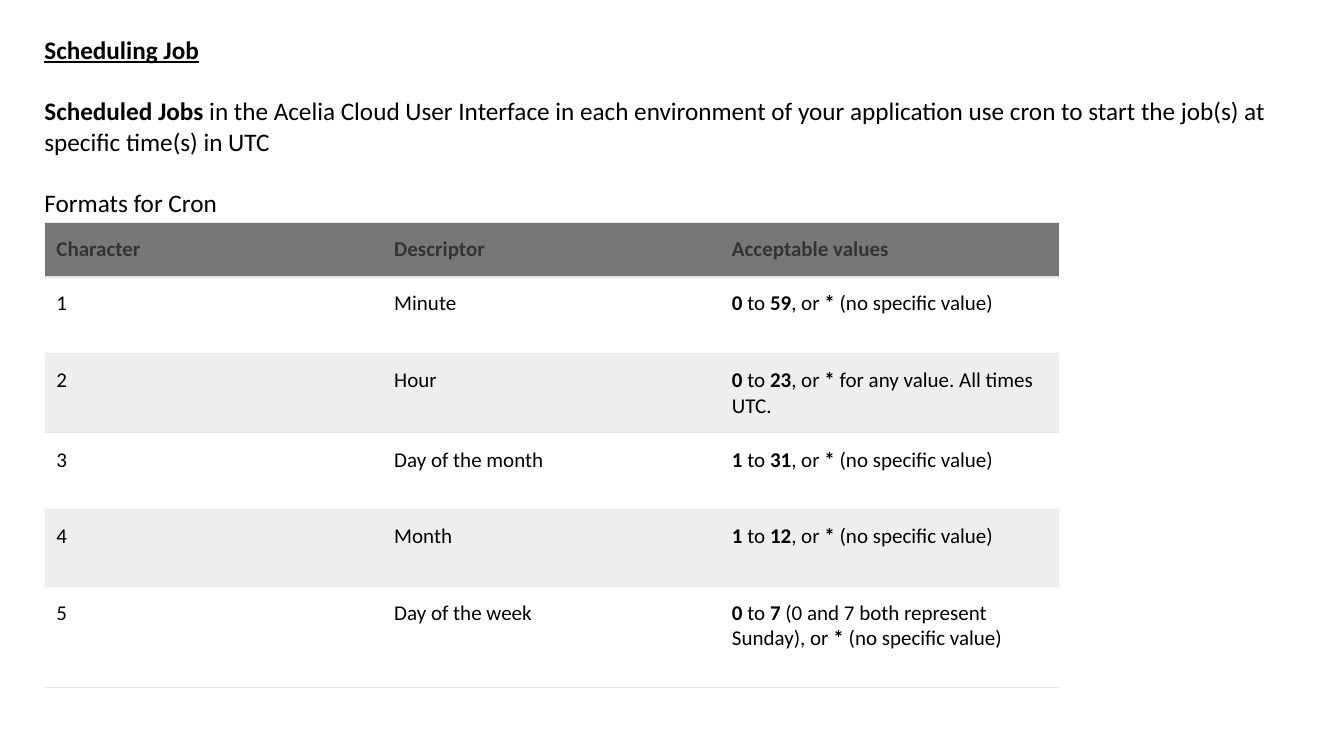
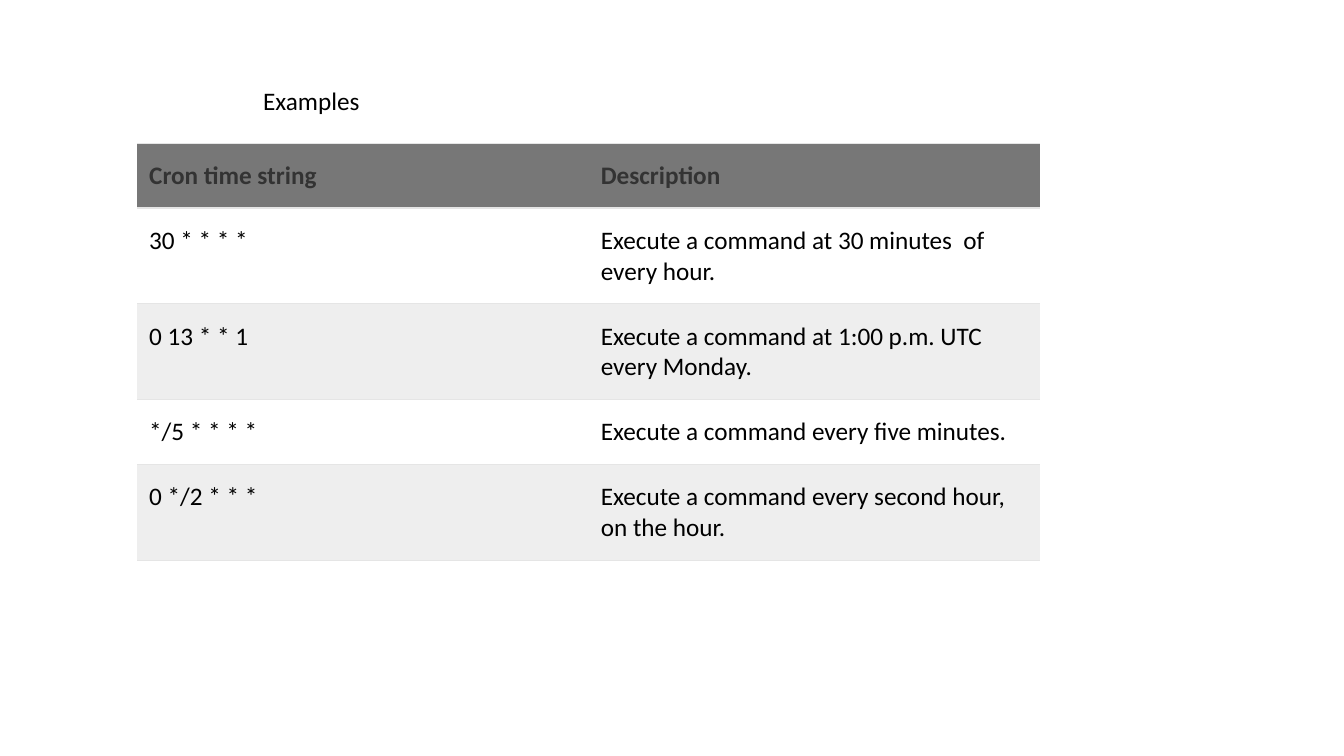
"""Build two slides that explain cron formats for scheduled jobs."""
from lxml import etree
from pptx import Presentation
from pptx.dml.color import RGBColor
from pptx.enum.text import MSO_ANCHOR, MSO_AUTO_SIZE, PP_ALIGN
from pptx.oxml.ns import qn
from pptx.util import Inches, Pt

TOP, BOTTOM = MSO_ANCHOR.TOP, MSO_ANCHOR.BOTTOM
LEFT = PP_ALIGN.LEFT
FIXED = MSO_AUTO_SIZE.NONE
TITLE_AND_BODY, TITLE_ONLY = 1, 5

BLACK, HEADER_TEXT, HEADER_FILL = "000000", "333333", "777777"
BAND_FILLS = ["EEEEEE", "FFFFFF"]
RULE = "E5E5E5"
THIN, THICK = 0.75, 1.5


def color(value):
    """Turn a hex string into a colour."""
    return RGBColor.from_string(value)


def write(para, text, size, ink=BLACK, **extra):
    """Fill a paragraph; parts between bars are bold."""
    para.alignment = LEFT
    for index, part in enumerate(text.split("|")):
        if not part:
            continue
        span = para.add_run()
        span.text = part
        style = {"name": "Calibri", "size": Pt(size), "bold": index % 2 == 1, **extra}
        for name, value in style.items():
            setattr(span.font, name, value)
        span.font.color.rgb = color(ink)


pages = [
    {
        "layout": TITLE_AND_BODY,
        "title": "|Scheduling Job|",
        "title_at": (0.34, 0.29, 12.62, 0.4),
        "title_style": {"underline": True},
        "body": [
            "|Scheduled Jobs| in the Acelia Cloud User Interface in each environment of your "
            "application use cron to start the job(s) at specific time(s) in UTC",
            "Formats for Cron",
        ],
        "table_at": (0.45, 2.21, 10.05, 4.62),
        "row_heights": [0.52, 0.76, 0.76, 0.76, 0.76, 1.01],
        "size": 15,
        "margins": (0.11, 0.14),
        "rows": [
            ["|Character|", "|Descriptor|", "|Acceptable values|"],
            ["1", "Minute", "|0| to |59|, or |*| (no specific value)"],
            ["2", "Hour", "|0| to |23|, or |*| for any value. All times UTC."],
            ["3", "Day of the month", "|1| to |31|, or |*| (no specific value)"],
            ["4", "Month", "|1| to |12|, or |*| (no specific value)"],
            ["5", "Day of the week",
             "|0| to |7| (0 and 7 both represent Sunday), or |*| (no specific value)"],
        ],
    },
    {
        "layout": TITLE_ONLY,
        "title": "Examples",
        "title_at": (2.51, 0.8, 5, 0.4),
        "title_style": {},
        "body": [],
        "table_at": (1.36, 1.42, 8.96, 4.07),
        "row_heights": [0.64, 0.93, 0.93, 0.64, 0.93],
        "size": 18,
        "margins": (0.12, 0.17),
        "rows": [
            ["|Cron time string|", "|Description|"],
            ["30 * * * *", "Execute a command at 30 minutes  of every hour."],
            ["0 13 * * 1", "Execute a command at 1:00 p.m. UTC every Monday."],
            ["*/5 * * * *", "Execute a command every five minutes."],
            ["0 */2 * * *", "Execute a command every second hour, on the hour."],
        ],
    },
]

deck = Presentation()
deck.slide_width, deck.slide_height = Inches(13.33), Inches(7.5)

for content in pages:
    page = deck.slides.add_slide(deck.slide_layouts[content["layout"]])

    texts = [(page.shapes.title, content["title_at"], [content["title"]], content["title_style"])]
    if content["body"]:
        texts.append((page.placeholders[1], (0.34, 0.9, 12.62, 1.32), content["body"], {}))
    for box, place, lines, style in texts:
        box.left, box.top, box.width, box.height = map(Inches, place)
        frame = box.text_frame
        frame.auto_size, frame.vertical_anchor, frame.word_wrap = FIXED, TOP, True
        for index, line in enumerate(lines):
            para = frame.add_paragraph() if index else frame.paragraphs[0]
            para.space_before = Pt(22 if index else 0)
            write(para, line, 18, **style)
            properties = para._p.get_or_add_pPr()
            properties.set("marL", "0")
            properties.set("indent", "0")
            etree.SubElement(properties, qn("a:buNone"))

    rows = content["rows"]
    table = page.shapes.add_table(
        len(rows), len(rows[0]), *map(Inches, content["table_at"])).table
    table.first_row = table.horz_banding = False
    side, end = map(Inches, content["margins"])
    for row, height in zip(table.rows, content["row_heights"]):
        row.height = Inches(height)

    for row_index, row in enumerate(rows):
        header = row_index == 0
        borders = {
            "lnL": 0,
            "lnR": 0,
            "lnT": THICK if row_index == 1 else THIN,
            "lnB": THICK if header else THIN,
        }
        for column_index, text in enumerate(row):
            cell = table.cell(row_index, column_index)
            cell_format = {
                "margin_left": side, "margin_right": side,
                "margin_top": end, "margin_bottom": end,
                "vertical_anchor": BOTTOM if header else TOP,
            }
            for name, value in cell_format.items():
                setattr(cell, name, value)
            properties = cell._tc.get_or_add_tcPr()
            for edge, width in borders.items():
                line = etree.SubElement(properties, qn(f"a:{edge}"), w=str(Pt(width)))
                if width:
                    fill = etree.SubElement(line, qn("a:solidFill"))
                    etree.SubElement(fill, qn("a:srgbClr"), val=RULE)
                else:
                    etree.SubElement(line, qn("a:noFill"))
            cell.fill.solid()
            cell.fill.fore_color.rgb = color(HEADER_FILL if header else BAND_FILLS[row_index % 2])
            write(cell.text_frame.paragraphs[0], text, content["size"],
                  HEADER_TEXT if header else BLACK)

deck.save("out.pptx")
